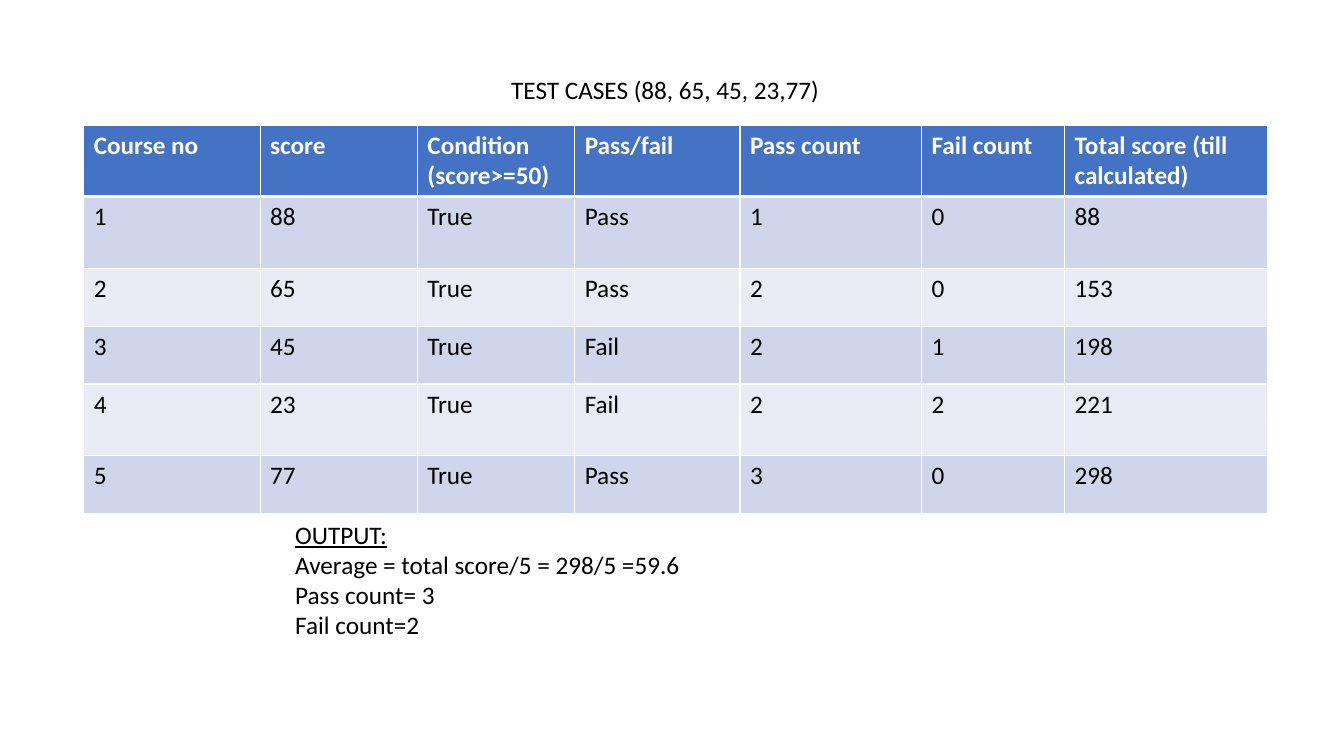
import dataclasses

import pptx
import pptx.dml.color
import pptx.enum.text
import pptx.oxml
import pptx.oxml.ns
import pptx.util

PX = 9144
FONT = "Calibri"
SIZE = pptx.util.Pt(18)
HUES = {
    "head": "4472C4",
    "odd": "CFD5EA",
    "even": "E9EBF5",
    "white": "FFFFFF",
    "black": "000000",
}
COLS = [175, 156, 156, 164, 180, 142, 201]
ROWS = [71, 71, 58, 57, 71, 58]
HEADS = [
    "Course no",
    "score",
    "Condition\v(score>=50)",
    "Pass/fail",
    "Pass count",
    "Fail count",
    "Total score (till calculated)",
]


@dataclasses.dataclass
class Case:
    score: int
    cond: str
    grade: str
    wins: int
    fails: int
    total: int


@dataclasses.dataclass
class Box:
    left: int
    top: int
    width: int
    height: int
    lines: list[str]


CASES = [
    Case(88, "True", "Pass", 1, 0, 88),
    Case(65, "True", "Pass", 2, 0, 153),
    Case(45, "True", "Fail", 2, 1, 198),
    Case(23, "True", "Fail", 2, 2, 221),
    Case(77, "True", "Pass", 3, 0, 298),
]
TITLE = Box(497, 69, 339, 40, ["TEST CASES (88, 65, 45, 23,77)"])
OUTPUT = Box(283, 510, 807, 131, [
    "OUTPUT:",
    "Average = total score/5 = 298/5 =59.6",
    "Pass count= 3",
    "Fail count=2",
])


def px(n: int) -> int:
    return pptx.util.Emu(n * PX)


def rgb(name: str) -> pptx.dml.color.RGBColor:
    return pptx.dml.color.RGBColor.from_string(HUES[name])


def style(frame, hue: str, bold: bool = False) -> None:
    for para in frame.paragraphs:
        para.alignment = pptx.enum.text.PP_ALIGN.LEFT
        font = para.font
        font.name, font.size, font.bold = FONT, SIZE, bold
        font.color.rgb = rgb(hue)


def fill_box(shape, box: Box) -> None:
    shape.left, shape.top = px(box.left), px(box.top)
    shape.width, shape.height = px(box.width), px(box.height)
    frame = shape.text_frame
    frame.text = "\n".join(box.lines)
    frame.word_wrap = True
    frame.auto_size = pptx.enum.text.MSO_AUTO_SIZE.SHAPE_TO_FIT_TEXT
    frame.vertical_anchor = pptx.enum.text.MSO_ANCHOR.TOP
    style(frame, "black")


def edge(cell, base: int) -> None:
    props = cell._tc.get_or_add_tcPr()
    for side, width in {"L": 1, "R": 1, "T": 1, "B": base}.items():
        props.append(pptx.oxml.parse_xml(
            f'<a:ln{side} {pptx.oxml.ns.nsdecls("a")} w="{pptx.util.Pt(width)}">'
            f'<a:solidFill><a:srgbClr val="{HUES["white"]}"/></a:solidFill>'
            f'</a:ln{side}>'
        ))


def draw_grid(slide, left: int, top: int) -> None:
    data = [HEADS] + [
        [num, *dataclasses.astuple(case)] for num, case in enumerate(CASES, 1)
    ]
    grid = slide.shapes.add_table(
        len(ROWS), len(COLS), px(left), px(top), px(sum(COLS)), px(sum(ROWS))
    ).table
    for col, width in zip(grid.columns, COLS):
        col.width = px(width)
    for r, (row, height, texts) in enumerate(zip(grid.rows, ROWS, data)):
        row.height = px(height)
        head = r == 0
        hue = "head" if head else "odd" if r % 2 else "even"
        for cell, text in zip(row.cells, texts):
            cell.text = str(text)
            style(cell.text_frame, "white" if head else "black", head)
            edge(cell, 3 if head else 1)
            cell.fill.solid()
            cell.fill.fore_color.rgb = rgb(hue)


def main() -> None:
    deck = pptx.Presentation()
    deck.slide_width, deck.slide_height = px(1333), px(750)
    slide = deck.slides.add_slide(deck.slide_layouts.get_by_name("Title Only"))
    draw_grid(slide, 83, 124)
    note = slide.shapes.add_textbox(0, 0, 0, 0)
    fill_box(note, OUTPUT)
    note.text_frame.paragraphs[0].font.underline = True
    fill_box(slide.shapes.title, TITLE)
    deck.save("out.pptx")


if __name__ == "__main__":
    main()
